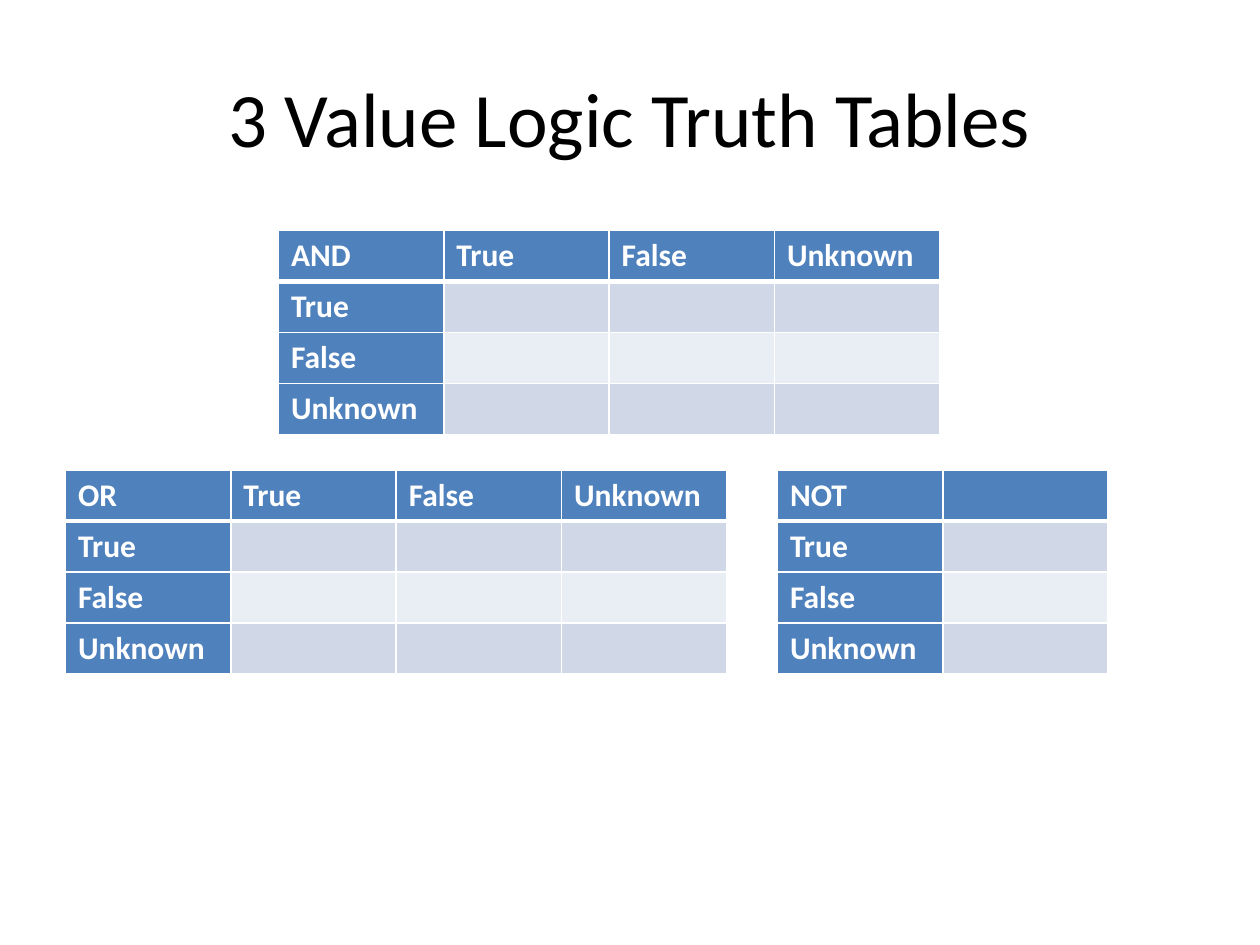
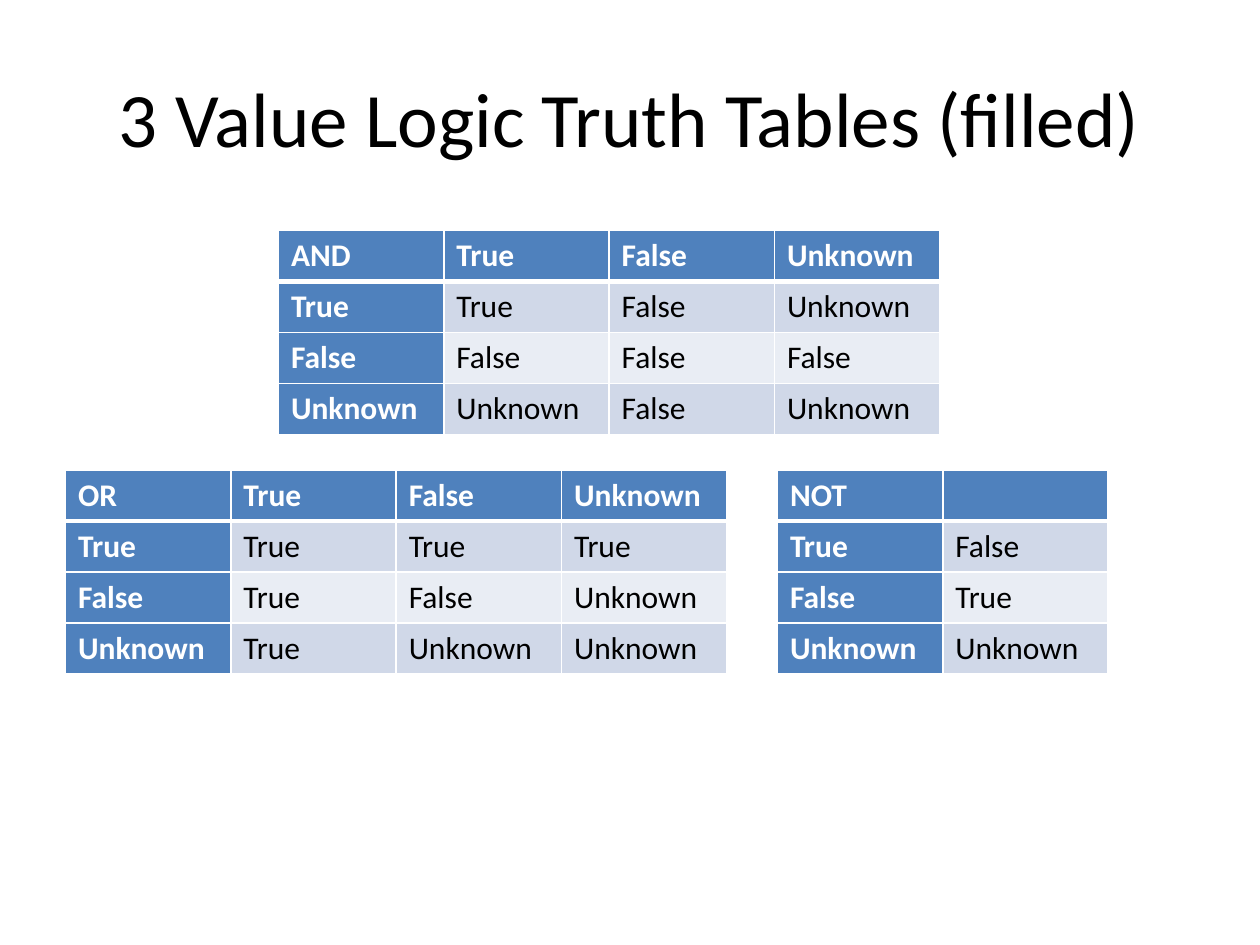
import pptx
import pptx.dml.color
import pptx.enum.text
import pptx.oxml
import pptx.oxml.ns
import pptx.util
from pptx.util import Inches

TITLE = "3 Value Logic Truth Tables"
STATES = ["True", "False", "Unknown"]
TRUTH_TABLES = [
    {"operator": "AND", "headings": STATES, "left": 2.21, "top": 1.83,
     "results": [["True", "False", "Unknown"],
                 ["False", "False", "False"],
                 ["Unknown", "False", "Unknown"]]},
    {"operator": "OR", "headings": STATES, "left": 0.52, "top": 3.73,
     "results": [["True", "True", "True"],
                 ["True", "False", "Unknown"],
                 ["True", "Unknown", "Unknown"]]},
    {"operator": "NOT", "headings": [""], "left": 6.17, "top": 3.73,
     "results": [["False"], ["True"], ["Unknown"]]},
]
SLIDES = [(TITLE, False), (f"{TITLE} (filled)", True)]

FONT = "Calibri"
BLACK, WHITE = "000000", "FFFFFF"
HEADING_FILL = "4F81BD"
BAND_FILLS = ["D0D8E8", "E9EDF4"]
COLUMN_WIDTH = 1.3125
ROW_HEIGHT = 0.405


def rgb(value):
    return pptx.dml.color.RGBColor.from_string(value)


def format_text(text_frame, size, color, bold=False):
    for paragraph in text_frame.paragraphs:
        for run in paragraph.runs:
            run.font.name = FONT
            run.font.size = pptx.util.Pt(size)
            run.font.bold = bold
            run.font.color.rgb = rgb(color)


def add_title(slide, title):
    shape = slide.shapes.add_textbox(Inches(0.5), Inches(0.3), Inches(9), Inches(1.25))
    text_frame = shape.text_frame
    text_frame.word_wrap = True
    text_frame.vertical_anchor = pptx.enum.text.MSO_ANCHOR.MIDDLE
    text_frame.text = title
    text_frame.paragraphs[0].alignment = pptx.enum.text.PP_ALIGN.CENTER
    format_text(text_frame, 44, BLACK)


def set_borders(cell, row):
    """Draw thin white borders, with a thick line between the header and the body."""
    widths = {"L": 1, "R": 1, "T": 3 if row == 1 else 1, "B": 3 if row == 0 else 1}
    properties = cell._tc.get_or_add_tcPr()
    for side, width in widths.items():
        properties.append(pptx.oxml.parse_xml(
            f'<a:ln{side} {pptx.oxml.ns.nsdecls("a")} w="{pptx.util.Pt(width)}">'
            f'<a:solidFill><a:srgbClr val="{WHITE}"/></a:solidFill></a:ln{side}>'))


def add_truth_table(slide, truth_table, filled):
    rows = [[truth_table["operator"], *truth_table["headings"]]]
    for state, results in zip(STATES, truth_table["results"]):
        rows.append([state, *(results if filled else [""] * len(results))])

    column_count = len(rows[0])
    table = slide.shapes.add_table(
        len(rows), column_count,
        Inches(truth_table["left"]), Inches(truth_table["top"]),
        Inches(COLUMN_WIDTH * column_count), Inches(ROW_HEIGHT * len(rows))).table
    table.first_col = True

    for row, values in enumerate(rows):
        for column, value in enumerate(values):
            is_heading = row == 0 or column == 0
            cell = table.cell(row, column)
            set_borders(cell, row)
            cell.fill.solid()
            cell.fill.fore_color.rgb = rgb(
                HEADING_FILL if is_heading else BAND_FILLS[(row - 1) % 2])
            cell.text_frame.text = value
            format_text(cell.text_frame, 18, WHITE if is_heading else BLACK, is_heading)


def main():
    presentation = pptx.Presentation()
    presentation.slide_width = Inches(10)
    presentation.slide_height = Inches(7.5)
    for title, filled in SLIDES:
        slide = presentation.slides.add_slide(presentation.slide_layouts[6])
        add_title(slide, title)
        for truth_table in TRUTH_TABLES:
            add_truth_table(slide, truth_table, filled)
    presentation.save("out.pptx")


if __name__ == "__main__":
    main()
